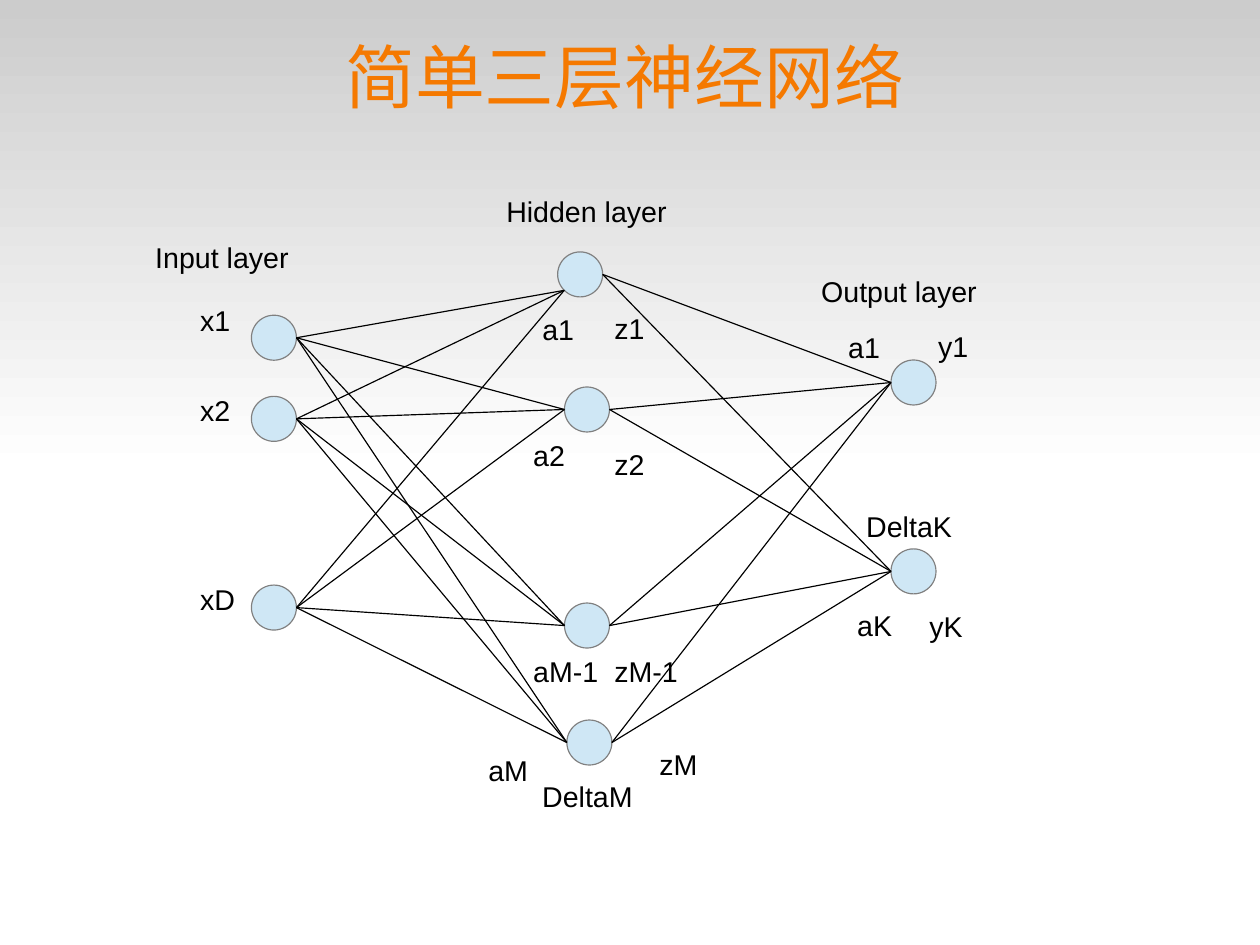
"""Build a slide showing a simple three-layer neural network."""
from itertools import product
from lxml.etree import SubElement
from pptx import Presentation
from pptx.dml.color import RGBColor
from pptx.enum.shapes import MSO_CONNECTOR, MSO_SHAPE
from pptx.enum.text import MSO_ANCHOR, PP_ALIGN
from pptx.oxml.ns import qn
from pptx.util import Pt

COLORS = {
    "sky": "CCCCCC", "white": "FFFFFF", "title": "F57900",
    "node": "CFE7F5", "outline": "808080", "black": "000000",
}
NODE = 28.35
RADIUS = NODE / 2
DIAGONAL = RADIUS * 0.5 ** 0.5


def rgb(name):
    return RGBColor.from_string(COLORS[name])


def write(tf, text, font, size, color, spacing, insets):
    tf.word_wrap = True
    tf.margin_left, tf.margin_top, tf.margin_right, tf.margin_bottom = map(Pt, insets)
    p = tf.paragraphs[0]
    p.text = text
    p.line_spacing = spacing
    p.font.name, p.font.size = font, Pt(size)
    p.font.color.rgb = rgb(color)
    return p


prs = Presentation()
prs.slide_width, prs.slide_height = Pt(793.7), Pt(595.3)
s = prs.slides.add_slide(prs.slide_layouts[5])

title = s.shapes.title
title.left, title.top, title.width, title.height = Pt(36.5), Pt(0), Pt(714.3), Pt(99.2)
p = write(title.text_frame, "简单三层神经网络", "Lato", 44, "title", 0.98, (0, 0.8, 0, 0))
p.alignment = PP_ALIGN.CENTER
title.text_frame.vertical_anchor = MSO_ANCHOR.MIDDLE

sky = s.shapes.add_shape(MSO_SHAPE.RECTANGLE, 0, 0, prs.slide_width, Pt(297.6))
sky.shadow.inherit = False
sky.line.fill.background()
sky.fill.gradient()
sky.fill.gradient_angle = 270
for stop, name, position in zip(sky.fill.gradient_stops, ("sky", "white"), (0, 1)):
    stop.color.rgb = rgb(name)
    stop.position = position
title._element.addprevious(sky._element)

inputs = [(158.4, 198.6), (158.4, 249.7), (158.4, 368.6)]
hidden = [(351.3, 158.7), (355.6, 243.8), (355.6, 379.9), (357.1, 453.6)]
outputs = [(561.3, 226.8), (561.3, 345.8)]

for x, y in inputs + hidden + outputs:
    sp = s.shapes.add_shape(MSO_SHAPE.OVAL, Pt(x), Pt(y), Pt(NODE), Pt(NODE))
    sp.shadow.inherit = False
    sp.fill.solid()
    sp.fill.fore_color.rgb = rgb("node")
    sp.line.color.rgb = rgb("outline")
    sp.line.width = Pt(0.75)

for (x1, y1), (x2, y2) in [*product(inputs, hidden), *product(hidden, outputs)]:
    end_x, end_y = x2, y2 + RADIUS
    if (x2, y2) == hidden[0]:
        end_x, end_y = x2 + RADIUS - DIAGONAL, y2 + RADIUS + DIAGONAL
    line = s.shapes.add_connector(
        MSO_CONNECTOR.STRAIGHT, Pt(x1 + NODE), Pt(y1 + RADIUS), Pt(end_x), Pt(end_y))
    line.line.color.rgb = rgb("black")
    line.line.width = Pt(0.75)
    SubElement(line._element.spPr, qn("a:effectLst"))

labels = [
    ("Input layer", 90.7, 148, 170), ("Hidden layer", 311.8, 119, 170),
    ("Output layer", 510.2, 170, 170),
    ("x1", 119, 187.9, 51), ("x2", 119, 244.6, 51), ("xD", 119, 363.7, 51),
    ("a1", 334.5, 193.4, 51), ("a2", 328.8, 273.3, 51),
    ("aM-1", 328.8, 409, 79), ("aM", 300.5, 471.5, 79),
    ("z1", 379.9, 193, 51), ("z2", 379.9, 278.7, 51),
    ("zM-1", 379.9, 409, 79), ("zM", 408.2, 467.8, 79),
    ("a1", 527.2, 205, 51), ("aK", 532.9, 380.2, 51),
    ("y1", 583.9, 204.3, 51), ("yK", 578.3, 380.7, 51),
    ("DeltaK", 538.6, 317.7, 108), ("DeltaM", 334.5, 487.6, 108),
]
for text, x, y, width in labels:
    box = s.shapes.add_textbox(Pt(x), Pt(y), Pt(width), Pt(27.4))
    write(box.text_frame, text, "Arial", 18, "black", 0.93, (7.1, 4.8, 7.1, 3.6))

prs.save("out.pptx")
